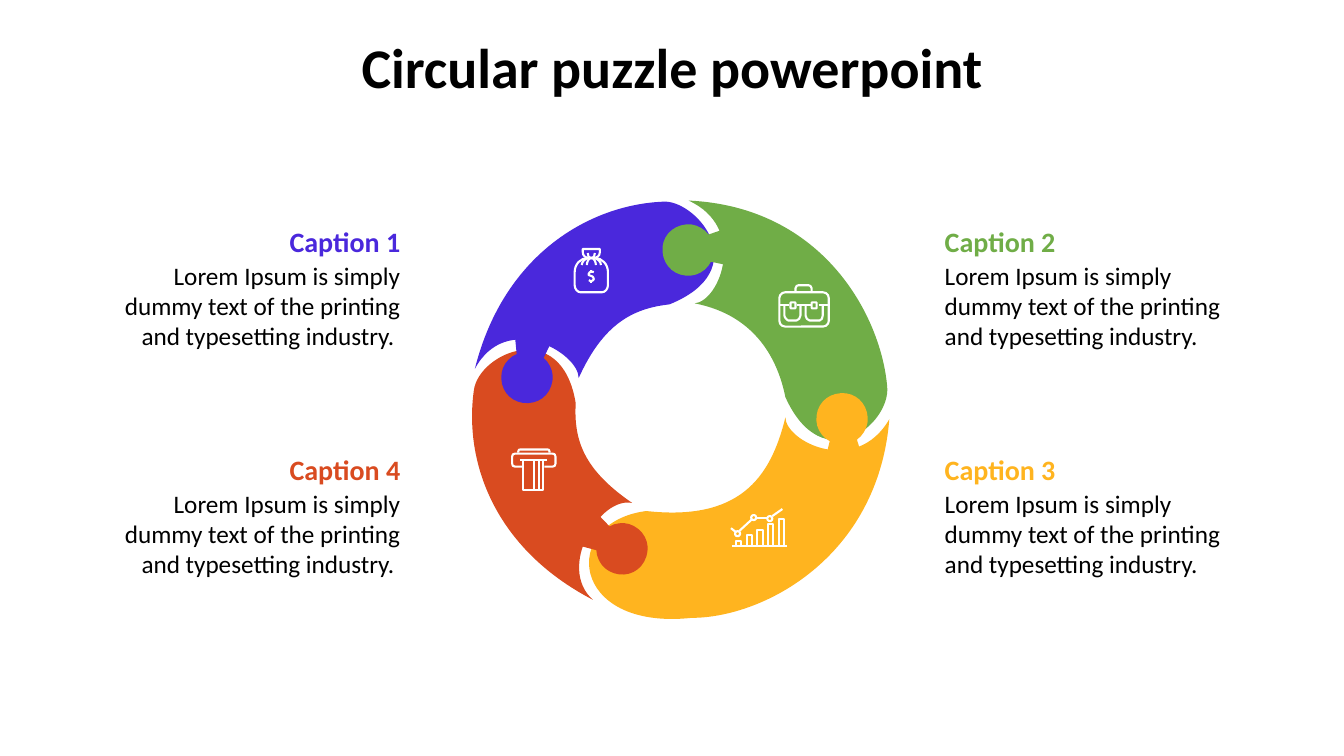
import pptx
import pptx.util
import pptx.dml.color
import pptx.enum.shapes
import pptx.enum.text
import pptx.oxml
import pptx.oxml.ns
import lxml.etree
from dataclasses import dataclass
from pptx.util import Inches


@dataclass(frozen=True)
class Theme:
    font: str = "Calibri"
    black: str = "000000"
    white: str = "FFFFFF"
    violet: str = "4A28DC"
    green: str = "70AD47"
    yellow: str = "FFB41F"
    red: str = "D94B20"
    title_size: int = 40
    caption_size: int = 20
    body_size: int = 18
    icon_line: float = 1.5


THEME = Theme()
TITLE = "Circular puzzle powerpoint"
BODY = "Lorem Ipsum is simply dummy text of the printing and typesetting industry."
LEFT, RIGHT = pptx.enum.text.PP_ALIGN.LEFT, pptx.enum.text.PP_ALIGN.RIGHT

# heading, body, colour, column left, row top, alignment
CAPTIONS = [
    ("Caption 1", BODY + " ", THEME.violet, 1.12, 2.23, RIGHT),
    ("Caption 2", BODY, THEME.green, 9.37, 2.23, LEFT),
    ("Caption 3", BODY, THEME.yellow, 9.37, 4.49, LEFT),
    ("Caption 4", BODY + " ", THEME.red, 1.12, 4.49, RIGHT),
]

# Outlines use M (start), L (line), C (cubic curve) and Z (close), in inches.
PIECES = [
    (THEME.green, "M 6.89 3.01 C 7.51 3.13 7.72 3.59 7.79 3.94 C 8.16 4.76 8.83 4.21 8.8 3.84 "
                  "C 8.74 3.13 8.16 2.05 6.83 1.99 C 7.42 2.26 7.14 2.99 6.89 3.01 Z"),
    (THEME.yellow, "M 7.79 4.14 C 7.64 4.76 7.32 5.17 6.41 5.07 C 5.55 5.18 5.64 6.26 6.86 6.13 "
                   "C 7.57 6.13 8.71 5.53 8.82 4.16 C 8.49 4.73 7.79 4.38 7.79 4.14 Z"),
    (THEME.violet, "M 5.74 3.75 C 5.98 3.22 6.27 3.06 6.64 3.02 C 7.48 2.68 6.93 2.01 6.6 2 "
                   "C 5.88 2.02 5 2.5 4.71 3.66 C 5.02 3.08 5.74 3.5 5.74 3.75 Z"),
    (THEME.red, "M 6.27 4.99 C 5.79 4.66 5.69 4.37 5.71 4 C 5.57 3.14 4.75 3.5 4.7 3.87 "
                "C 4.6 4.58 4.9 5.44 5.88 5.95 C 5.52 5.63 5.95 4.92 6.27 4.99 Z"),
]

KNOB = ("M 0.26 0 C 0.4 0 0.51 0.11 0.51 0.26 C 0.51 0.33 0.48 0.39 0.43 0.44 L 0.39 0.47 "
        "L 0.43 0.63 L 0.07 0.63 L 0.12 0.47 L 0.08 0.44 C 0.03 0.39 0 0.33 0 0.26 "
        "C 0 0.11 0.11 0 0.26 0 Z")
# colour, left, top, rotation
KNOBS = [
    (THEME.green, 6.63, 2.16, 264.9),
    (THEME.violet, 4.98, 3.37, 188.4),
    (THEME.red, 5.86, 5.1, 118.9),
    (THEME.yellow, 8.1, 3.9, 356.6),
]

MONEY_BAG = {
    "outlines": [
        "M 5.78 2.47 L 5.78 2.5 C 5.78 2.54 5.81 2.56 5.85 2.56 L 5.88 2.56 "
        "C 5.92 2.56 5.95 2.54 5.95 2.5 L 5.95 2.47 Z",
        "M 5.89 2.7 C 5.89 2.7 5.87 2.69 5.85 2.7 C 5.83 2.71 5.84 2.73 5.84 2.73 "
        "C 5.85 2.74 5.86 2.74 5.87 2.74 C 5.88 2.75 5.89 2.75 5.89 2.77 "
        "C 5.89 2.78 5.87 2.79 5.86 2.79 C 5.85 2.79 5.85 2.79 5.84 2.78",
        "M 5.96 2.63 C 5.96 2.6 5.93 2.56 5.88 2.56 L 5.85 2.56 C 5.8 2.56 5.77 2.6 5.77 2.63",
        "M 5.91 2.63 C 5.91 2.6 5.89 2.56 5.87 2.56 L 5.86 2.56 C 5.84 2.56 5.82 2.6 5.82 2.63",
        "M 5.83 2.51 C 5.83 2.54 5.84 2.56 5.86 2.56 L 5.87 2.56 C 5.89 2.56 5.9 2.54 5.9 2.51",
        "M 5.76 2.9 L 5.97 2.9 C 6 2.9 6.03 2.87 6.03 2.83 L 6.03 2.7 C 6.03 2.62 5.97 2.56 5.9 2.56 "
        "L 5.83 2.56 C 5.76 2.56 5.7 2.62 5.7 2.7 L 5.7 2.83 C 5.7 2.87 5.73 2.9 5.76 2.9 Z",
    ],
    "lines": [(5.86, 2.69, 5.86, 2.68), (5.86, 2.81, 5.86, 2.79)],
}
BRIEFCASE = {
    "outlines": [
        "M 7.89 2.9 L 7.89 2.86 C 7.89 2.84 7.91 2.83 7.92 2.83 L 8.02 2.83 "
        "C 8.03 2.83 8.05 2.84 8.05 2.86 L 8.05 2.9",
        "M 7.94 3.03 L 7.94 3.13 C 7.94 3.15 7.92 3.18 7.9 3.18 L 7.82 3.18 "
        "C 7.81 3.18 7.78 3.15 7.78 3.13 L 7.78 3.03",
        "M 8.16 3.03 L 8.16 3.13 C 8.16 3.15 8.15 3.18 8.13 3.18 L 8.03 3.18 "
        "C 8.01 3.18 7.99 3.15 7.99 3.13 L 7.99 3.03",
    ],
    "lines": [(8.12, 3.03, 8.21, 3.03), (7.9, 3.03, 8.04, 3.03), (7.73, 3.03, 7.83, 3.03)],
    "ROUNDED_RECTANGLE": [(7.73, 2.9, 0.49, 0.34), (7.84, 3, 0.05, 0.06), (8.05, 3, 0.05, 0.06)],
}
GROWTH_CHART = {
    "outlines": [
        "M 7.28 5.42 L 7.3 5.42 L 7.3 5.37 L 7.35 5.37 L 7.35 5.42 L 7.41 5.42 L 7.41 5.31 "
        "L 7.46 5.31 L 7.46 5.42 L 7.51 5.42 L 7.51 5.26 L 7.57 5.26 L 7.57 5.42 L 7.62 5.42 "
        "L 7.62 5.2 L 7.67 5.2 L 7.67 5.42 L 7.73 5.42 L 7.73 5.15 L 7.78 5.15 L 7.78 5.42 L 7.8 5.42",
    ],
    "lines": [(7.26, 5.42, 7.81, 5.42), (7.76, 5.05, 7.66, 5.12), (7.61, 5.14, 7.5, 5.14),
              (7.46, 5.15, 7.33, 5.27), (7.3, 5.28, 7.25, 5.24)],
    "OVAL": [(7.61, 5.12, 0.05, 0.05), (7.45, 5.11, 0.05, 0.05), (7.29, 5.27, 0.05, 0.05)],
}
COLUMN = {
    "outlines": [
        "M 5.19 4.63 L 5.11 4.63 C 5.09 4.63 5.08 4.62 5.08 4.6 L 5.08 4.53 C 5.08 4.51 5.09 4.5 5.11 4.5 "
        "L 5.48 4.5 C 5.5 4.5 5.51 4.51 5.51 4.53 L 5.51 4.6 C 5.51 4.62 5.5 4.63 5.48 4.63 L 5.4 4.63",
        "M 5.14 4.49 L 5.14 4.48 C 5.14 4.46 5.15 4.46 5.16 4.46 L 5.43 4.46 "
        "C 5.44 4.46 5.45 4.46 5.45 4.48 L 5.45 4.49",
    ],
    "lines": [(5.16, 4.56, 5.43, 4.56)],
    "RECTANGLE": [(5.19, 4.56, 0.2, 0.3), (5.3, 4.56, 0.05, 0.3)],
}
ICONS = [MONEY_BAG, BRIEFCASE, GROWTH_CHART, COLUMN]
COMMAND_TAGS = {"M": "a:moveTo", "L": "a:lnTo", "C": "a:cubicBezTo", "Z": "a:close"}


def rgb(value):
    return pptx.dml.color.RGBColor.from_string(value)


def read_outline(outline):
    """Split an outline into (letter, points) commands, with points in EMU."""
    commands = []
    for word in outline.split():
        if word in COMMAND_TAGS:
            commands.append((word, []))
        else:
            commands[-1][1].append(Inches(float(word)))
    return [(letter, list(zip(numbers[::2], numbers[1::2]))) for letter, numbers in commands]


def find_bounds(commands, steps=20):
    """Give the corners of the box that the drawn outline fills."""
    reached = []
    for letter, points in commands:
        if letter == "C":
            curve = [reached[-1], *points]
            for t in (step / steps for step in range(1, steps + 1)):
                weights = ((1 - t) ** 3, 3 * t * (1 - t) ** 2, 3 * t * t * (1 - t), t ** 3)
                reached.append(tuple(sum(w * p[axis] for w, p in zip(weights, curve)) for axis in (0, 1)))
        else:
            reached += points
    across, down = zip(*reached)
    return (round(min(across)), round(min(down))), (round(max(across)), round(max(down)))


def paint(shape, fill=None, line=None):
    shape.shadow.inherit = False
    if fill:
        shape.fill.solid()
        shape.fill.fore_color.rgb = rgb(fill)
    else:
        shape.fill.background()
    if line:
        shape.line.color.rgb = rgb(line)
        shape.line.width = pptx.util.Pt(THEME.icon_line)
    else:
        shape.line.fill.background()


def add_outline(shapes, outline, **colours):
    """Build a freeform over the outline's box, then give it true curves."""
    commands = read_outline(outline)
    corner, far_corner = find_bounds(commands)
    builder = shapes.build_freeform(*corner)
    builder.add_line_segments([far_corner], close=False)
    shape = builder.convert_to_shape()
    qn = pptx.oxml.ns.qn
    contour = next(shape._element.iter(qn("a:path")))
    for child in list(contour):
        contour.remove(child)
    for letter, points in commands:
        command = lxml.etree.SubElement(contour, qn(COMMAND_TAGS[letter]))
        for x, y in points:
            lxml.etree.SubElement(command, qn("a:pt"), x=str(x - corner[0]), y=str(y - corner[1]))
    paint(shape, **colours)
    return shape


def add_icon(shapes, icon):
    group = shapes.add_group_shape().shapes
    for kind, parts in icon.items():
        for part in parts:
            if kind == "outlines":
                add_outline(group, part, line=THEME.white)
            elif kind == "lines":
                stroke = group.add_connector(pptx.enum.shapes.MSO_CONNECTOR.STRAIGHT, *map(Inches, part))
                stroke.line.color.rgb = rgb(THEME.white)
                stroke.line.width = pptx.util.Pt(THEME.icon_line)
                lxml.etree.SubElement(stroke._element.spPr, pptx.oxml.ns.qn("a:effectLst"))
            else:
                preset = getattr(pptx.enum.shapes.MSO_SHAPE, kind)
                paint(group.add_shape(preset, *map(Inches, part)), line=THEME.white)


def write(box, text, *, size, colour=THEME.black, bold=False, align=LEFT, margin=0):
    frame = box.text_frame
    frame.word_wrap = True
    frame.margin_left = frame.margin_right = frame.margin_top = frame.margin_bottom = Inches(margin)
    para = frame.paragraphs[0]
    para.alignment = align
    span = para.add_run()
    span.text = text
    span.font.name, span.font.size, span.font.bold = THEME.font, pptx.util.Pt(size), bold
    span.font.color.rgb = rgb(colour)


def main():
    deck = pptx.Presentation()
    deck.slide_width, deck.slide_height = Inches(13.33), Inches(7.5)
    shapes = deck.slides.add_slide(deck.slide_layouts[5]).shapes
    title = shapes.title
    title.left, title.top, title.width, title.height = map(Inches, (0, 0.27, 13.33, 0.77))
    write(title, TITLE, size=THEME.title_size, bold=True, align=pptx.enum.text.PP_ALIGN.CENTER, margin=0.05)
    for heading, body, colour, left, top, align in CAPTIONS:
        box = shapes.add_textbox(*map(Inches, (left, top, 2.85, 0.34)))
        write(box, heading, size=THEME.caption_size, colour=colour, bold=True, align=align)
        box = shapes.add_textbox(*map(Inches, (left, top + 0.35, 2.85, 0.91)))
        write(box, body, size=THEME.body_size, align=align)
    for colour, outline in PIECES:
        add_outline(shapes, outline, fill=colour)
    for colour, left, top, rotation in KNOBS:
        knob = add_outline(shapes, KNOB, fill=colour)
        knob.left, knob.top, knob.rotation = Inches(left), Inches(top), rotation
    for icon in ICONS:
        add_icon(shapes, icon)
    deck.save("out.pptx")


if __name__ == "__main__":
    main()
